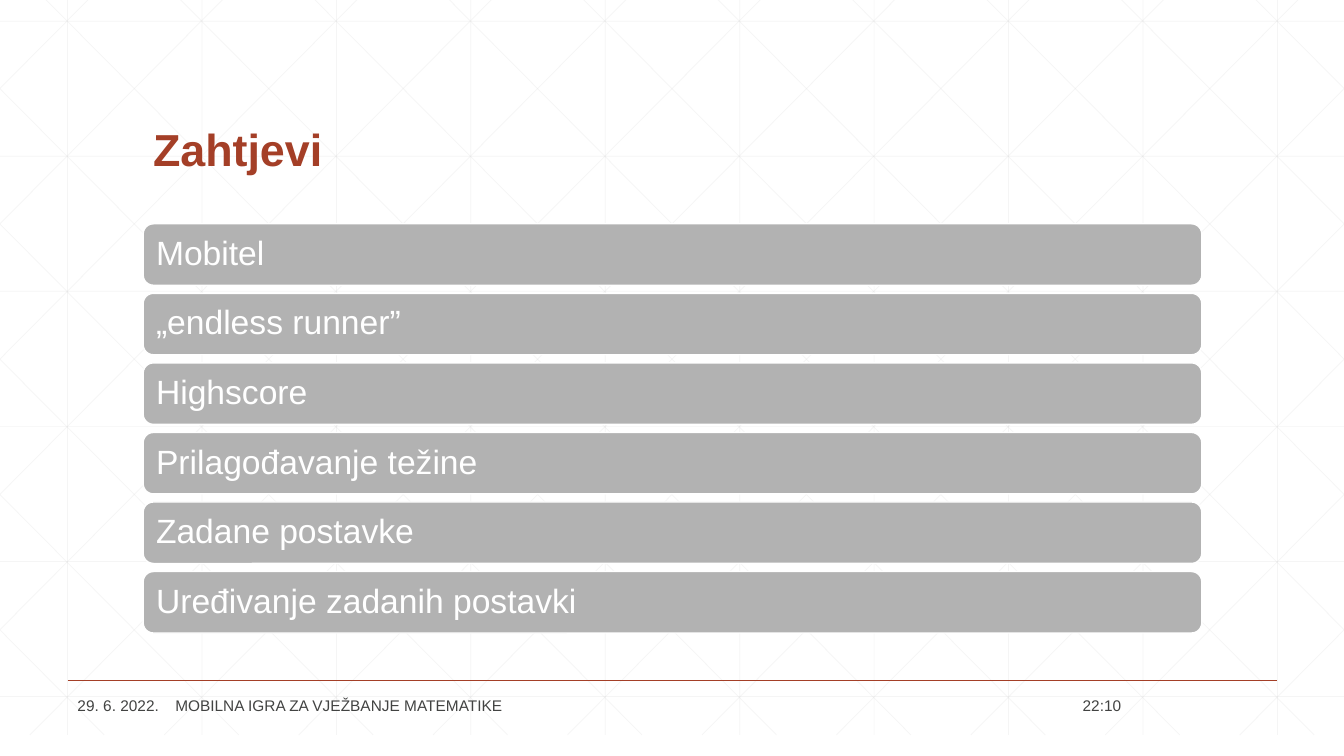
"""Build the slide listing the requirements of a mobile maths game."""
from dataclasses import dataclass

from lxml import etree
from pptx import Presentation
from pptx.dml.color import RGBColor
from pptx.enum.shapes import MSO_CONNECTOR, MSO_SHAPE
from pptx.enum.text import MSO_ANCHOR, PP_ALIGN
from pptx.oxml.ns import qn
from pptx.util import Inches, Pt

STRAIGHT = MSO_CONNECTOR.STRAIGHT
ROUNDED = MSO_SHAPE.ROUNDED_RECTANGLE
LEFT, RIGHT = PP_ALIGN.LEFT, PP_ALIGN.RIGHT
MIDDLE, BOTTOM = MSO_ANCHOR.MIDDLE, MSO_ANCHOR.BOTTOM

WIDTH, HEIGHT = 13.33, 7.5
GRID_TOP, GRID_BOTTOM = -0.21, 7.29
COLUMN_STEP, ROW_STEP = 4 / 3, 1.34
DIAGONAL_RUN = 7.45
DIAGONAL_SLOPE = (GRID_BOTTOM - GRID_TOP) / DIAGONAL_RUN
RUST, GREY, DARK, WHITE, PALE = "A43F27", "B2B2B2", "424342", "FFFFFF", "D9D9D9"

REQUIREMENTS = [
    "Mobitel",
    "„endless runner”",
    "Highscore",
    "Prilagođavanje težine",
    "Zadane postavke",
    "Uređivanje zadanih postavki",
]
BAR_LEFT, BAR_TOP, BAR_WIDTH, BAR_HEIGHT, BAR_STEP = 1.42, 2.22, 10.5, 0.61, 0.69


@dataclass
class Line:
    x1: float
    y1: float
    x2: float
    y2: float
    color: str = PALE
    weight: float = 0.5
    opacity: int = 25


@dataclass
class Label:
    text: str
    left: float
    top: float
    width: float
    height: float
    size: float = 11
    color: str = DARK
    bold: bool = False
    align: PP_ALIGN = LEFT
    anchor: MSO_ANCHOR = MIDDLE
    spacing: float = 1.0
    inset: float = 0.1


LABELS = [
    Label("Zahtjevi", 1.42, 0.55, 10.5, 1.25, 32, RUST, True, anchor=BOTTOM, spacing=0.9),
    Label("22:10", 10.16, 6.88, 1.06, 0.24, align=RIGHT),
    Label("29. 6. 2022.", 0.67, 6.88, 1.05, 0.24),
    Label("MOBILNA IGRA ZA VJEŽBANJE MATEMATIKE", 1.64, 6.88, 5.73, 0.24),
]


def rgb(color: str) -> RGBColor:
    return RGBColor.from_string(color)


def diagonal(start: float) -> Line:
    """Return a falling diagonal clipped to the slide's sides."""
    left = max(start, 0)
    right = min(start + DIAGONAL_RUN, WIDTH)
    return Line(left, GRID_TOP + (left - start) * DIAGONAL_SLOPE,
                right, GRID_TOP + (right - start) * DIAGONAL_SLOPE)


def grid_lines() -> list[Line]:
    columns = [Line(x, GRID_TOP, x, GRID_BOTTOM)
               for x in (0.67 + i * COLUMN_STEP for i in range(10))]
    rows = [Line(0, y, WIDTH, y) for y in (0.21 + i * ROW_STEP for i in range(6))]
    falling = [diagonal(0.25 + i * COLUMN_STEP) for i in range(-5, 10)]
    rising = [Line(WIDTH - line.x1, line.y1, WIDTH - line.x2, line.y2) for line in falling]
    return columns + rows + falling + rising


def draw_line(slide, line: Line) -> None:
    connector = slide.shapes.add_connector(
        STRAIGHT, Inches(line.x1), Inches(line.y1), Inches(line.x2), Inches(line.y2))
    connector.line.color.rgb = rgb(line.color)
    connector.line.width = Pt(line.weight)
    properties = connector._element.spPr
    if line.opacity < 100:
        alpha = etree.SubElement(next(properties.iter(qn("a:srgbClr"))), qn("a:alpha"))
        alpha.set("val", str(line.opacity * 1000))
    etree.SubElement(properties, qn("a:effectLst"))


def write_text(shape, label: Label) -> None:
    frame = shape.text_frame
    frame.text = label.text
    frame.word_wrap = True
    frame.vertical_anchor = label.anchor
    frame.margin_left = frame.margin_right = Inches(label.inset)
    frame.margin_top = frame.margin_bottom = Inches(0.05)
    paragraph = frame.paragraphs[0]
    paragraph.alignment = label.align
    paragraph.line_spacing = label.spacing
    font = paragraph.runs[0].font
    font.name = "Arial"
    font.size = Pt(label.size)
    font.bold = label.bold
    font.color.rgb = rgb(label.color)


def draw_label(slide, label: Label) -> None:
    box = slide.shapes.add_textbox(
        Inches(label.left), Inches(label.top), Inches(label.width), Inches(label.height))
    write_text(box, label)


def draw_bar(slide, label: Label) -> None:
    bar = slide.shapes.add_shape(
        ROUNDED, Inches(label.left), Inches(label.top), Inches(label.width), Inches(label.height))
    bar.shadow.inherit = False
    bar.fill.solid()
    bar.fill.fore_color.rgb = rgb(GREY)
    bar.line.color.rgb = rgb(WHITE)
    bar.line.width = Pt(1)
    write_text(bar, label)


def main() -> None:
    presentation = Presentation()
    presentation.slide_width = Inches(WIDTH)
    presentation.slide_height = Inches(HEIGHT)
    slide = presentation.slides.add_slide(presentation.slide_layouts[6])
    for line in grid_lines():
        draw_line(slide, line)
    draw_line(slide, Line(0.67, 6.75, 12.67, 6.75, RUST, 1, 100))
    for index, requirement in enumerate(REQUIREMENTS):
        draw_bar(slide, Label(requirement, BAR_LEFT, BAR_TOP + index * BAR_STEP, BAR_WIDTH,
                              BAR_HEIGHT, 24, WHITE, spacing=0.9, inset=0.1))
    for label in LABELS:
        draw_label(slide, label)
    presentation.save("out.pptx")


if __name__ == "__main__":
    main()
